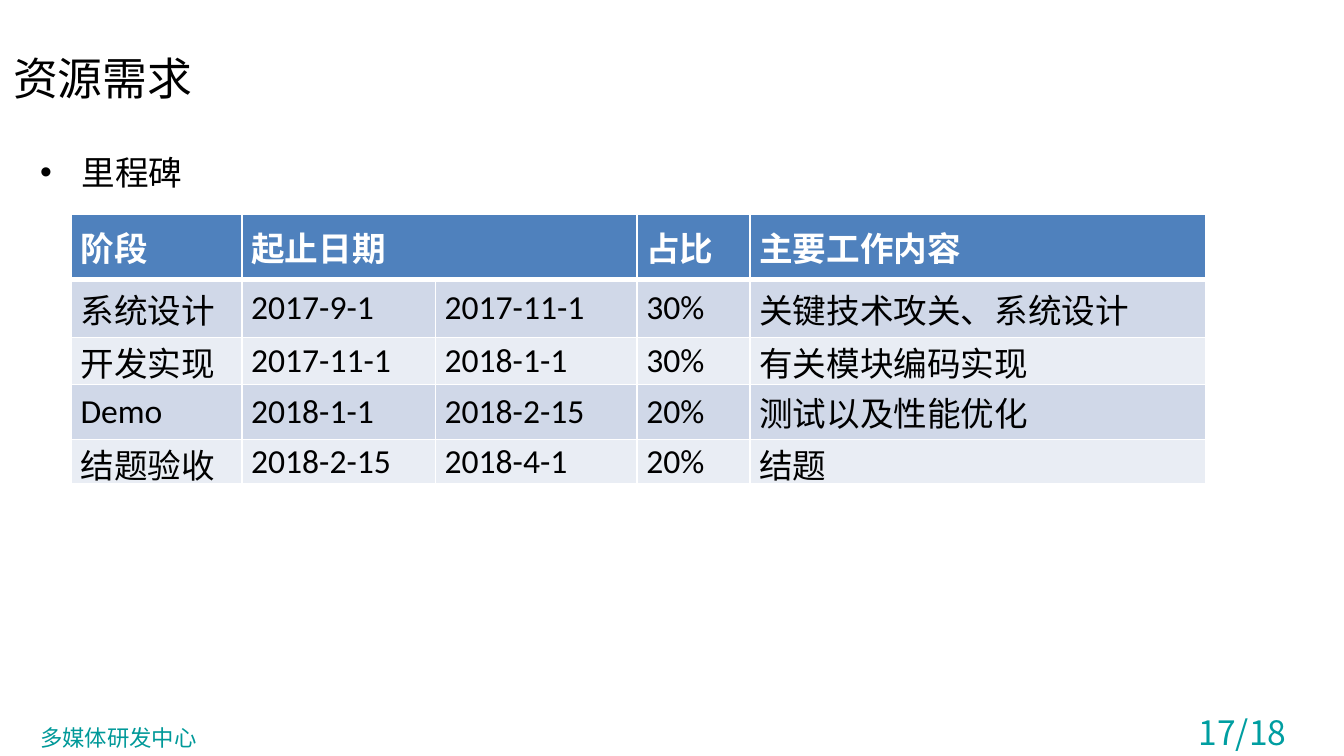
from lxml import etree
from pptx import Presentation
from pptx.dml.color import RGBColor
from pptx.enum.text import MSO_ANCHOR, PP_ALIGN
from pptx.oxml.ns import qn
from pptx.util import Inches, Pt

MIDDLE = MSO_ANCHOR.MIDDLE
TOP = MSO_ANCHOR.TOP
LEFT = PP_ALIGN.LEFT
RIGHT = PP_ALIGN.RIGHT

BLACK = RGBColor(0, 0, 0)
WHITE = RGBColor(255, 255, 255)
TEAL = RGBColor(0x00, 0x99, 0x99)
CYAN = RGBColor(0x00, 0x9E, 0xA1)
BLUE = RGBColor(0x4F, 0x81, 0xBD)
BANDS = (RGBColor(0xD0, 0xD8, 0xE8), RGBColor(0xE9, 0xED, 0xF4))

HAN = "Noto Sans CJK SC"
LATIN = "Calibri"

COLS = (1.27, 1.44, 1.5, 0.84, 3.39)
ROWS = (0.49, 0.43, 0.35, 0.41, 0.33)
STAGES = (
    ("阶段", "起止日期", "", "占比", "主要工作内容"),
    ("系统设计", "2017-9-1", "2017-11-1", "30%", "关键技术攻关、系统设计"),
    ("开发实现", "2017-11-1", "2018-1-1", "30%", "有关模块编码实现"),
    ("Demo", "2018-1-1", "2018-2-15", "20%", "测试以及性能优化"),
    ("结题验收", "2018-2-15", "2018-4-1", "20%", "结题"),
)


def style(para, size, color, face=HAN, bold=False):
    font = para.font
    font.size = Pt(size)
    font.bold = bold
    font.color.rgb = color
    font.name = face
    props = para._p.get_or_add_pPr().find(qn("a:defRPr"))
    etree.SubElement(props, qn("a:ea")).set("typeface", HAN)


def add_text(slide, box, text, size, color, anchor=TOP, align=LEFT, wrap=True):
    shape = slide.shapes.add_textbox(*map(Inches, box))
    frame = shape.text_frame
    frame.word_wrap = wrap
    frame.vertical_anchor = anchor
    para = frame.paragraphs[0]
    para.text = text
    para.alignment = align
    style(para, size, color)
    return para


def add_bullet(slide, box, text):
    para = add_text(slide, box, text, 18, BLACK)
    para.space_before = Pt(3.6)
    props = para._p.get_or_add_pPr()
    props.set("marL", str(Inches(0.31)))
    props.set("indent", str(Inches(-0.31)))
    font = etree.Element(qn("a:buFont"), typeface="Arial")
    mark = etree.Element(qn("a:buChar"), char="•")
    for item in (font, mark):
        props.find(qn("a:defRPr")).addprevious(item)


def add_edges(cell, base):
    props = cell._tc.get_or_add_tcPr()
    for side, width in (("L", 1), ("R", 1), ("T", 1), ("B", base)):
        line = etree.SubElement(props, qn("a:ln" + side), w=str(Pt(width)))
        fill = etree.SubElement(line, qn("a:solidFill"))
        etree.SubElement(fill, qn("a:srgbClr"), val=str(WHITE))


def fill_cell(cell, text, head, color):
    add_edges(cell, 3 if head else 1)
    cell.fill.solid()
    cell.fill.fore_color.rgb = color
    cell.vertical_anchor = MIDDLE
    cell.margin_left = cell.margin_right = Inches(0.07)
    cell.margin_top = cell.margin_bottom = 0
    para = cell.text_frame.paragraphs[0]
    para.text = text
    style(para, 18, WHITE if head else BLACK, LATIN, head)


def add_plan(slide, left, top):
    box = map(Inches, (left, top, sum(COLS), sum(ROWS)))
    table = slide.shapes.add_table(len(ROWS), len(COLS), *box).table
    for col, width in zip(table.columns, COLS):
        col.width = Inches(width)
    for row, height in zip(table.rows, ROWS):
        row.height = Inches(height)
    for i, stage in enumerate(STAGES):
        color = BANDS[(i - 1) % 2] if i else BLUE
        for j, text in enumerate(stage):
            fill_cell(table.cell(i, j), text, i == 0, color)
    table.cell(0, 1).merge(table.cell(0, 2))


def add_footer(slide):
    add_text(slide, (0.2, 5.34, 1.38, 0.3), "多媒体研发中心", 12, TEAL, wrap=False)
    add_text(slide, (8.76, 5.25, 0.91, 0.4), "17/18", 18, CYAN, MIDDLE, RIGHT)


def main():
    deck = Presentation()
    deck.slide_width = Inches(10)
    deck.slide_height = deck.slide_width * 9 // 16
    slide = deck.slides.add_slide(deck.slide_layouts[6])
    add_text(slide, (0, 0.29, 9.5, 0.57), "资源需求", 24, BLACK, MIDDLE)
    add_footer(slide)
    add_plan(slide, 0.53, 1.59)
    add_bullet(slide, (0.2, 1.08, 1.53, 0.47), "里程碑")
    deck.save("out.pptx")


if __name__ == "__main__":
    main()
